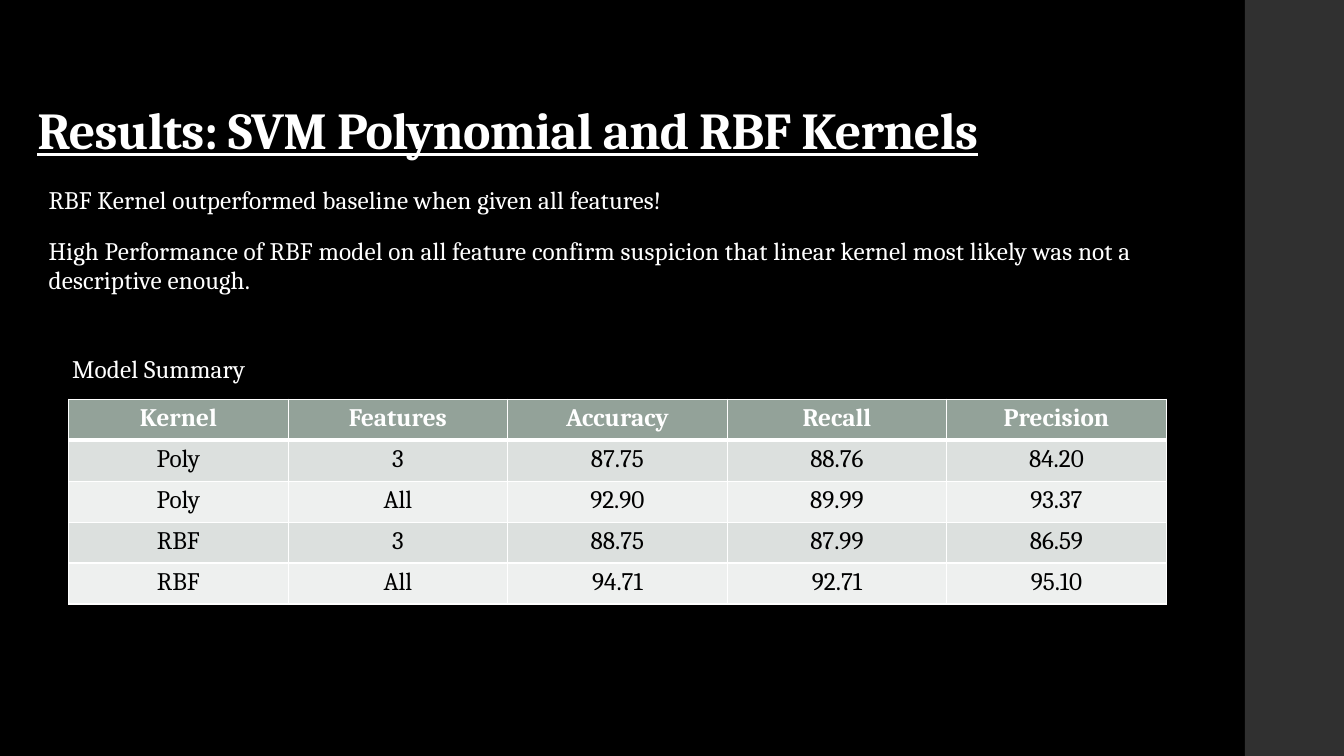
from dataclasses import dataclass
from typing import Any

from lxml.etree import SubElement
from pptx import Presentation
from pptx.dml.color import RGBColor
from pptx.enum.shapes import MSO_SHAPE as Preset
from pptx.enum.text import MSO_ANCHOR as Anchor, MSO_AUTO_SIZE as AutoSize, PP_ALIGN as Align
from pptx.oxml.ns import qn
from pptx.util import Cm, Pt


@dataclass(frozen=True)
class Theme:
    font: str = "Cambria"
    background: str = "000000"
    sidebar: str = "303030"
    light: str = "FFFFFF"
    dark: str = "000000"
    header: str = "93A299"
    bands: tuple[str, str] = ("DCE0DE", "EEF0EF")
    title_size: float = 37
    text_size: float = 18


@dataclass(frozen=True)
class Box:
    left: float
    top: float
    width: float
    height: float


@dataclass(frozen=True)
class TextBlock:
    box: Box
    lines: tuple[str, ...]
    size: float
    line_spacing: float
    tracking: int  # hundredths of a point
    before: float = 14
    after: float = 2
    bold: bool = False
    underline: bool = False
    anchor: Anchor = Anchor.TOP


THEME = Theme()
TITLE = TextBlock(
    Box(0.69, 1.6, 29.87, 2.57), ("Results: SVM Polynomial and RBF Kernels",),
    THEME.title_size, 0.9, -50, before=0, after=0,
    bold=True, underline=True, anchor=Anchor.BOTTOM,
)
FINDINGS = TextBlock(
    Box(0.97, 4.57, 29.72, 3.66),
    (
        "RBF Kernel outperformed baseline when given all features!",
        "High Performance of RBF model on all feature confirm suspicion that "
        "linear kernel most likely was not a descriptive enough.",
    ),
    THEME.text_size, 0.95, 10,
)
CAPTION = TextBlock(
    Box(1.57, 8.89, 11.76, 1.02), ("Model Summary",), THEME.text_size, 0.85, 10
)
SIDEBAR = Box(31.37, 0, 2.5, 19.05)
TABLE = Box(1.73, 10.06, 27.66, 5.16)
RESULTS = (
    ("Kernel", "Features", "Accuracy", "Recall", "Precision"),
    ("Poly", "3", "87.75", "88.76", "84.20"),
    ("Poly", "All", "92.90", "89.99", "93.37"),
    ("RBF", "3", "88.75", "87.99", "86.59"),
    ("RBF", "All", "94.71", "92.71", "95.10"),
)


def apply(target: Any, values: dict[str, Any]) -> None:
    for name, value in values.items():
        setattr(target, name, value)


def lengths(box: Box) -> list[Cm]:
    return [Cm(value) for value in (box.left, box.top, box.width, box.height)]


def paint(fill: Any, color: str) -> None:
    fill.solid()
    fill.fore_color.rgb = RGBColor.from_string(color)


def format_font(font: Any, color: str, size: float, bold: bool, underline: bool = False) -> None:
    apply(font, {"name": THEME.font, "size": Pt(size), "bold": bold, "underline": underline})
    font.color.rgb = RGBColor.from_string(color)


def write_block(shape: Any, block: TextBlock) -> None:
    apply(shape, dict(zip(("left", "top", "width", "height"), lengths(block.box))))
    frame = shape.text_frame
    apply(frame, {
        "text": "\n".join(block.lines),
        "word_wrap": True,
        "auto_size": AutoSize.NONE,
        "vertical_anchor": block.anchor,
    })
    for paragraph in frame.paragraphs:
        apply(paragraph, {
            "alignment": Align.LEFT,
            "line_spacing": block.line_spacing,
            "space_before": Pt(block.before),
            "space_after": Pt(block.after),
        })
        # No bullet and no hanging indent
        properties = paragraph._p.get_or_add_pPr()
        properties.set("marL", "0")
        properties.set("indent", "0")
        SubElement(properties, qn("a:buNone"))
        for run in paragraph.runs:
            format_font(run.font, THEME.light, block.size, block.bold, block.underline)
            run._r.get_or_add_rPr().set("spc", str(block.tracking))


def add_borders(cell: Any, widths: dict[str, float]) -> None:
    properties = cell._tc.get_or_add_tcPr()
    for side, width in widths.items():
        line = SubElement(properties, qn(f"a:ln{side}"), w=str(Pt(width)))
        fill = SubElement(line, qn("a:solidFill"))
        SubElement(fill, qn("a:srgbClr"), val=THEME.light)


def add_results(slide: Any) -> None:
    row_count, column_count = len(RESULTS), len(RESULTS[0])
    table = slide.shapes.add_table(row_count, column_count, *lengths(TABLE)).table
    for row_index, values in enumerate(RESULTS):
        is_header = row_index == 0
        fill = THEME.header if is_header else THEME.bands[(row_index - 1) % 2]
        color = THEME.light if is_header else THEME.dark
        borders = {
            "L": 1, "R": 1,
            "T": 3 if row_index == 1 else 1,
            "B": 3 if is_header else 1,
        }
        for column_index, value in enumerate(values):
            cell = table.cell(row_index, column_index)
            cell.text = value
            add_borders(cell, borders)
            paint(cell.fill, fill)
            paragraph = cell.text_frame.paragraphs[0]
            paragraph.alignment = Align.CENTER
            format_font(paragraph.runs[0].font, color, THEME.text_size, is_header)


def add_sidebar(slide: Any) -> None:
    sidebar = slide.shapes.add_shape(Preset.RECTANGLE, *lengths(SIDEBAR))
    sidebar.shadow.inherit = False
    sidebar.line.fill.background()
    paint(sidebar.fill, THEME.sidebar)


def main() -> None:
    presentation = Presentation()
    apply(presentation, {"slide_width": Cm(33.87), "slide_height": Cm(19.05)})
    slide = presentation.slides.add_slide(presentation.slide_layouts[1])

    # Backdrop
    paint(slide.background.fill, THEME.background)
    add_sidebar(slide)

    # Title and findings
    write_block(slide.shapes.title, TITLE)
    write_block(slide.placeholders[1], FINDINGS)

    # Results table with its caption
    add_results(slide)
    write_block(slide.shapes.add_textbox(*lengths(CAPTION.box)), CAPTION)

    presentation.save("out.pptx")


if __name__ == "__main__":
    main()
